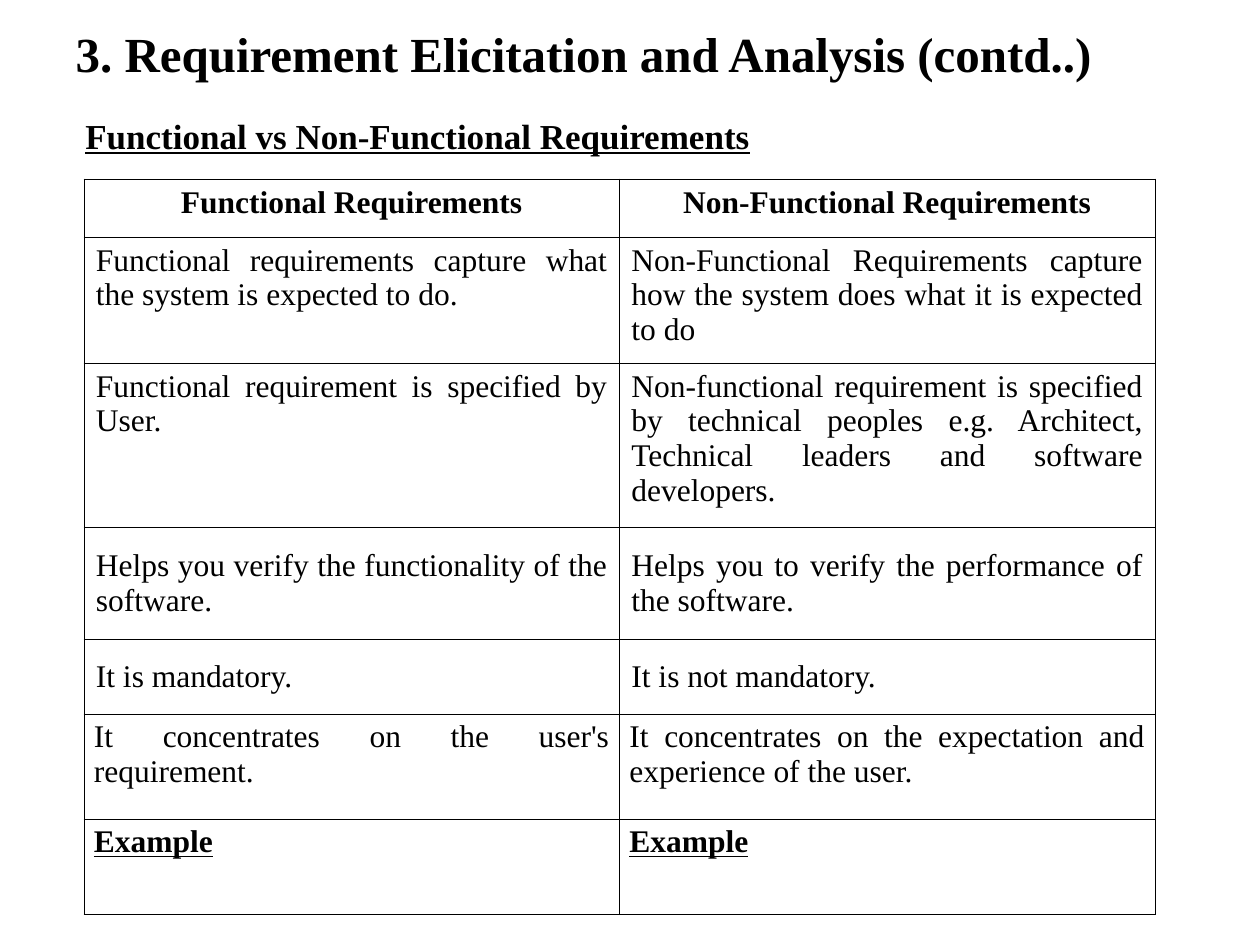
from typing import NamedTuple

from lxml.etree import SubElement
from pptx import Presentation
from pptx.dml.color import RGBColor
from pptx.enum.text import MSO_ANCHOR as Anchor, MSO_AUTO_SIZE as AutoSize, PP_ALIGN as Align
from pptx.oxml.ns import qn
from pptx.util import Emu, Pt

COLORS = {"ink": "000000", "paper": "FFFFFF"}
FONT = "Times New Roman"
EMU_PER_INCH = 914400
PX_PER_INCH = 126
BORDER_PT = 0.45


class Box(NamedTuple):
    left: int
    top: int
    width: int
    height: int


class Row(NamedTuple):
    height: int
    functional: str
    non_functional: str
    align: Align = Align.JUSTIFY
    anchor: Anchor = Anchor.TOP
    inset: int = 12
    bold: bool = False
    underline: bool = False


TITLE = Box(63, 0, 1134, 105)
SUBTITLE = Box(73, 108, 1134, 694)
TABLE = Box(84, 179, 1071, 736)

ROWS = [
    Row(58, "Functional Requirements", "Non-Functional Requirements",
        align=Align.CENTER, bold=True),
    Row(126, "Functional requirements capture what the system is expected to do.",
        "Non-Functional Requirements capture how the system does what it is expected to do"),
    Row(164, "Functional requirement is specified by User.",
        "Non-functional requirement is specified by technical peoples e.g. Architect, "
        "Technical leaders and software developers."),
    Row(112, "Helps you verify the functionality of the software.",
        "Helps you to verify the performance of the software.", anchor=Anchor.MIDDLE),
    Row(75, "It is mandatory.", "It is not mandatory.", anchor=Anchor.MIDDLE),
    Row(105, "It concentrates on the user's requirement.",
        "It concentrates on the expectation and experience of the user.", inset=10),
    Row(96, "Example", "Example", inset=10, bold=True, underline=True),
]


def px(n: int) -> Emu:
    return Emu(round(n * EMU_PER_INCH / PX_PER_INCH))


def emu_box(box: Box) -> list[Emu]:
    return [px(n) for n in box]


def write(tf, text: str, *, size: int, align: Align = Align.LEFT,
          bold: bool = False, underline: bool = False) -> None:
    tf.word_wrap = True
    p = tf.paragraphs[0]
    p.alignment = align
    r = p.add_run()
    r.text = text
    r.font.name = FONT
    r.font.size = Pt(size)
    r.font.bold = bold
    r.font.underline = underline
    r.font.color.rgb = RGBColor.from_string(COLORS["ink"])


def add_borders(cell) -> None:
    tc_pr = cell._tc.get_or_add_tcPr()
    for i, side in enumerate(("lnL", "lnR", "lnT", "lnB")):
        ln = tc_pr.makeelement(qn(f"a:{side}"), {"w": str(Pt(BORDER_PT))})
        fill = SubElement(ln, qn("a:solidFill"))
        SubElement(fill, qn("a:srgbClr"), val=COLORS["ink"])
        tc_pr.insert(i, ln)


def fill_cell(cell, text: str, row: Row) -> None:
    cell.fill.solid()
    cell.fill.fore_color.rgb = RGBColor.from_string(COLORS["paper"])
    cell.vertical_anchor = row.anchor
    cell.margin_left = cell.margin_right = px(row.inset)
    cell.margin_top = cell.margin_bottom = px(6)
    write(cell.text_frame, text, size=18, align=row.align,
          bold=row.bold, underline=row.underline)
    add_borders(cell)


def add_comparison(s, box: Box, rows: list[Row]) -> None:
    table = s.shapes.add_table(len(rows), 2, *emu_box(box)).table
    table.first_row = table.horz_banding = False
    for col in table.columns:
        col.width = px(box.width) // 2
    for i, row in enumerate(rows):
        table.rows[i].height = px(row.height)
        for j, text in enumerate((row.functional, row.non_functional)):
            fill_cell(table.cell(i, j), text, row)


def main() -> None:
    prs = Presentation()
    prs.slide_width, prs.slide_height = px(1260), px(945)
    s = prs.slides.add_slide(prs.slide_layouts[5])

    title = s.shapes.title
    title.left, title.top, title.width, title.height = emu_box(TITLE)
    title.text_frame.auto_size = AutoSize.NONE
    title.text_frame.vertical_anchor = Anchor.MIDDLE
    write(title.text_frame, "3. Requirement Elicitation and Analysis (contd..)",
          size=28, bold=True)

    subtitle = s.shapes.add_textbox(*emu_box(SUBTITLE))
    write(subtitle.text_frame, "Functional vs Non-Functional Requirements",
          size=20, bold=True, underline=True)

    add_comparison(s, TABLE, ROWS)
    prs.save("out.pptx")


if __name__ == "__main__":
    main()
